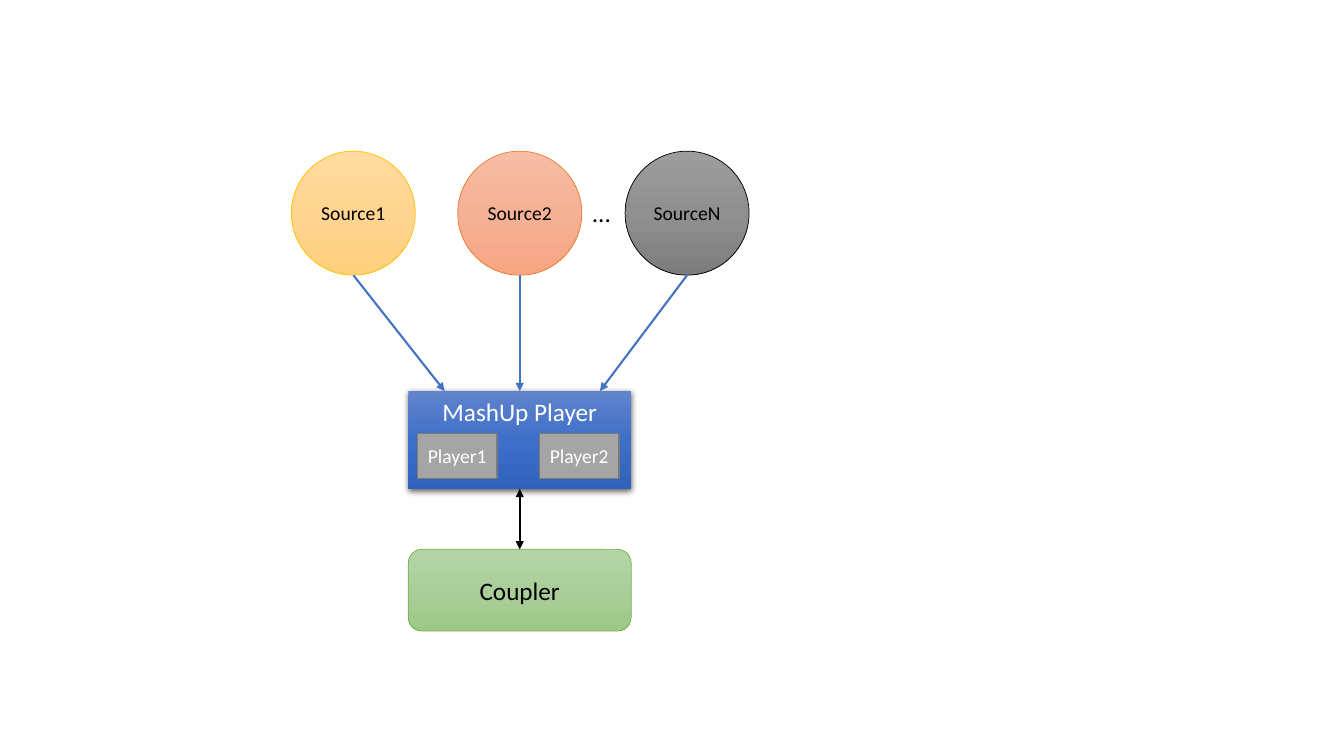
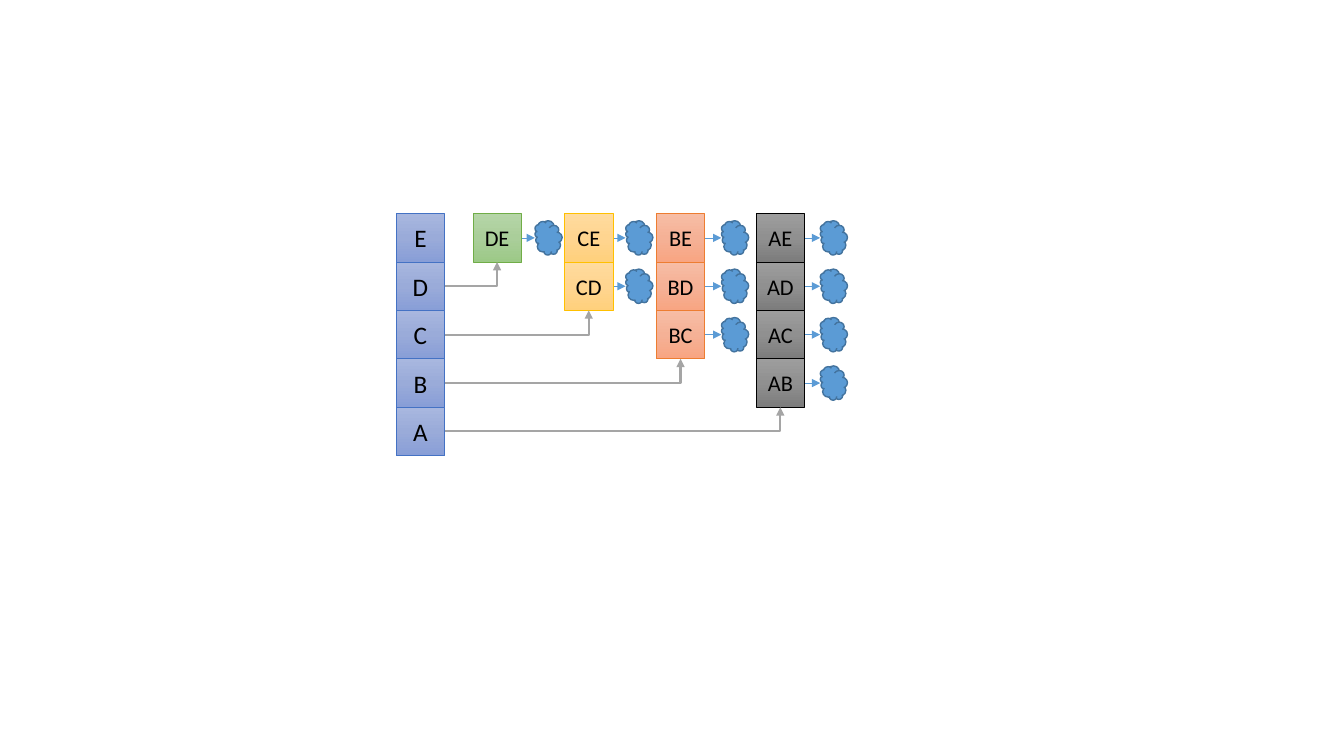
from copy import deepcopy
from pptx import Presentation, util as u
from pptx.dml.color import RGBColor
from pptx.enum import shapes as sh, text as tx
from pptx.oxml import parse_xml
from pptx.oxml.ns import nsdecls, qn

# Content
SOURCES = [("Source1", 2.89, "gold"), ("Source2", 4.54, "coral"), ("SourceN", 6.2, "gray")]
PLAYERS = [("Player1", 4.14), ("Player2", 5.35)]
ITEMS = "EDCBA"
# Letter, left edge of its column, middle of its clouds, tone
PAIRS = [("D", 4.69, 5.44, "green"), ("C", 5.6, 6.34, "gold"),
         ("B", 6.51, 7.29, "coral"), ("A", 7.5, 8.27, "gray")]

# Shared style
FONT = "Calibri"
HEX = {"black": "000000", "white": "FFFFFF", "blue": "4472C4", "sky": "5B9BD5",
       "navy": "43739E", "ash": "A5A5A5", "slate": "7A7A7A"}
TONES = {  # three gradient stops from top to bottom, then the outline
    "gold": ("FFDB9E", "FFD590", "FFD07C", "FFC000"),
    "coral": ("F7BDA5", "F5B196", "F8A582", "ED7D31"),
    "gray": ("9D9D9D", "909090", "7C7C7C", "000000"),
    "green": ("B5D5A7", "AACE9A", "9CC987", "70AD47"),
    "pale": ("A8B7DF", "9AABD9", "889ED7", "4472C4"),
    "royal": ("6183CB", "3E70CA", "3062BB", None),
}
KIND = sh.MSO_SHAPE
LINK = sh.MSO_CONNECTOR
ANCHOR = tx.MSO_ANCHOR


def rgb(code):
    """Turn a hex string into a colour."""
    return RGBColor.from_string(code)


def write(shape, words, size=18, color="black", anchor=ANCHOR.MIDDLE, wrap=True):
    """Put centred text into a shape."""
    frame = shape.text_frame
    frame.word_wrap = wrap
    frame.vertical_anchor = anchor
    frame.margin_left = frame.margin_right = 0
    par = frame.paragraphs[0]
    par.alignment = tx.PP_ALIGN.CENTER
    run = par.add_run()
    run.text = words
    run.font.name, run.font.size = FONT, u.Pt(size)
    run.font.color.rgb = rgb(HEX[color])


def shade(shape, stops):
    """Fill a shape with a vertical gradient of three stops."""
    shape.fill.gradient()
    shape.fill.gradient_angle = 270
    marks = shape.element.spPr.find(".//" + qn("a:gsLst"))
    marks.insert(1, deepcopy(marks[0]))
    for stop, place, code in zip(shape.fill.gradient_stops, (0, 0.5, 1), stops):
        stop.position = place
        stop.color.rgb = rgb(code)


def block(slide, kind, box, tone=None, fill=None, edge=None):
    """Add a shape with a gradient tone, or a plain fill and outline."""
    shape = slide.shapes.add_shape(kind, *map(u.Inches, box))
    shape.shadow.inherit = False
    if tone:
        *stops, rim = TONES[tone]
        shade(shape, stops)
    else:
        shape.fill.solid()
        shape.fill.fore_color.rgb = rgb(HEX[fill])
        rim = HEX[edge]
    if rim:
        shape.line.color.rgb = rgb(rim)
        shape.line.width = u.Pt(0.5 if tone else 1)
    else:
        shape.line.fill.background()
    return shape


def arrow(slide, start, end, color, width=1.5, both=False, bent=False):
    """Add an arrow; a bent one runs across and then up."""
    kind = LINK.ELBOW if bent else LINK.STRAIGHT
    link = slide.shapes.add_connector(kind, *map(u.Inches, start + end))
    link.line.color.rgb = rgb(HEX[color])
    link.line.width = u.Pt(width)
    props = link.element.spPr
    if bent:
        props.find(qn("a:prstGeom")).set("prst", "bentConnector2")
    for name in ("headEnd", "tailEnd") if both else ("tailEnd",):
        props.find(qn("a:ln")).append(
            parse_xml(f'<a:{name} {nsdecls("a")} type="triangle"/>'))
    props.append(parse_xml(f'<a:effectLst {nsdecls("a")}/>'))


def drop(shape):
    """Give a shape a soft shadow below."""
    shape.element.spPr.find(qn("a:effectLst")).append(parse_xml(
        f'<a:outerShdw {nsdecls("a")} blurRad="{u.Pt(4.5)}" dist="{u.Pt(1.5)}" '
        'dir="5400000" algn="ctr" rotWithShape="0"><a:srgbClr val="000000">'
        '<a:alpha val="63000"/></a:srgbClr></a:outerShdw>'))


def flow(slide):
    """Draw the sources that feed the player and its coupler."""
    top, size = 1.5, 1.23
    left, wide, mash, tall, base = 4.05, 2.21, 3.88, 0.97, 5.45
    mid = left + wide / 2
    for name, x, tone in SOURCES:
        write(block(slide, KIND.OVAL, (x, top, size, size), tone), name, 14)
    dots = slide.shapes.add_textbox(*map(u.Inches, (5.77, 1.91, 0.39, 0.4)))
    write(dots, "...", anchor=ANCHOR.TOP, wrap=False)

    player = block(slide, KIND.RECTANGLE, (left, mash, wide, tall), "royal")
    drop(player)
    write(player, "MashUp Player", color="white", anchor=ANCHOR.TOP)
    coupler = block(slide, KIND.ROUNDED_RECTANGLE, (left, base, wide, 0.81), "green")
    write(coupler, "Coupler")

    for (_, x, _), goal in zip(SOURCES, (4.41, mid, 5.95)):
        arrow(slide, (x + size / 2, top + size), (goal, mash), "blue")
    for name, x in PLAYERS:
        part = block(slide, KIND.RECTANGLE, (x, 4.3, 0.79, 0.45), fill="ash", edge="slate")
        write(part, name, 14, "white")
    arrow(slide, (mid, mash + tall), (mid, base), "black", both=True)


def stairs(slide):
    """Draw the item stack and the column of pairs for each item."""
    left, top, cell = 3.93, 2.12, 0.48
    long, thin, reach = 0.34, 0.27, 0.39

    def square(words, x, row, tone, size):
        """Add one labelled cell in a row."""
        shape = block(slide, KIND.RECTANGLE, (x, top + row * cell, cell, cell), tone)
        write(shape, words, size)

    for row, item in enumerate(ITEMS):
        square(item, left, row, "pale", 18)
    for count, (item, x, mid, tone) in enumerate(PAIRS, 1):
        for row in range(count):
            y = top + (row + 0.5) * cell
            arrow(slide, (mid - reach, y), (mid - thin / 2, y), "sky", 0.5)
            square(item + ITEMS[row], x, row, tone, 16)
            cloud = block(slide, KIND.CLOUD, (mid - long / 2, y - thin / 2, long, thin),
                          fill="sky", edge="navy")
            cloud.rotation = 270
        foot = top + count * cell
        arrow(slide, (left + cell, foot + cell / 2), (x + cell / 2, foot), "ash", bent=True)


deck = Presentation()
deck.slide_width, deck.slide_height = u.Inches(13.33), u.Inches(7.5)
for draw in (flow, stairs):
    draw(deck.slides.add_slide(deck.slide_layouts[6]))
deck.save("out.pptx")
